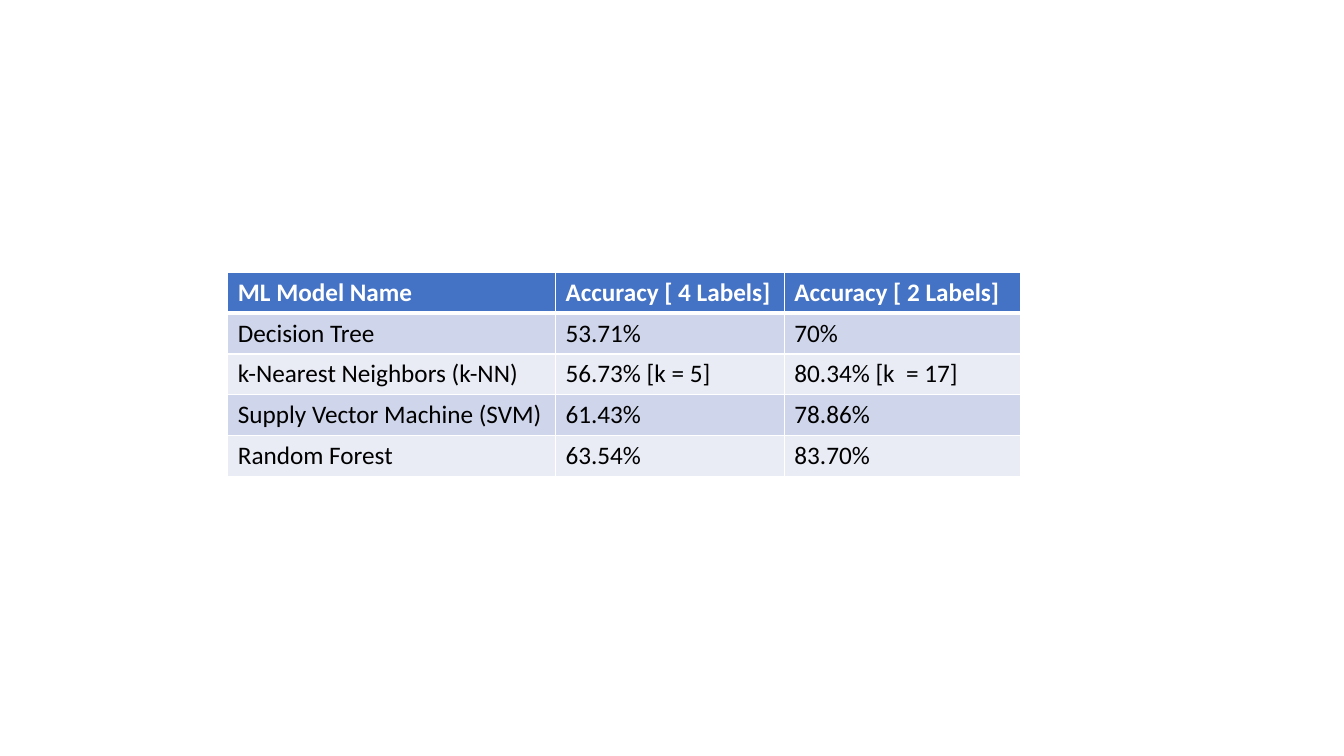
from lxml import etree
from pptx import Presentation
from pptx.dml.color import RGBColor
from pptx.oxml import ns
from pptx.util import Inches, Pt

RESULTS = [
    ("ML Model Name", "Accuracy [ 4 Labels]", "Accuracy [ 2 Labels]"),
    ("Decision Tree", "53.71%", "70%"),
    ("k-Nearest Neighbors (k-NN)", "56.73% [k = 5]", "80.34% [k  = 17]"),
    ("Supply Vector Machine (SVM)", "61.43%", "78.86%"),
    ("Random Forest", "63.54%", "83.70%"),
]
COLUMN_WIDTHS = (3.25, 2.27, 2.34)
ROW_HEIGHT = 0.4
LEFT, TOP = 2.26, 2.7

BLUE = RGBColor(0x44, 0x72, 0xC4)
BANDS = (RGBColor(0xE9, 0xEB, 0xF5), RGBColor(0xCF, 0xD5, 0xEA))
WHITE = RGBColor(0xFF, 0xFF, 0xFF)
BLACK = RGBColor(0, 0, 0)


def add_borders(cell, widths):
    """Draw white borders; widths maps L, R, T and B to points."""
    properties = cell._tc.get_or_add_tcPr()
    for side in "LRTB":
        line = etree.SubElement(properties, ns.qn(f"a:ln{side}"), w=str(Pt(widths[side])))
        fill = etree.SubElement(line, ns.qn("a:solidFill"))
        etree.SubElement(fill, ns.qn("a:srgbClr"), val=str(WHITE))


def format_cell(cell, text, row):
    header = row == 0
    add_borders(cell, {"L": 1, "R": 1, "T": 3 if row == 1 else 1, "B": 3 if header else 1})
    cell.fill.solid()
    cell.fill.fore_color.rgb = BLUE if header else BANDS[row % 2]
    cell.text = text
    font = cell.text_frame.paragraphs[0].runs[0].font
    font.name = "Calibri"
    font.size = Pt(18)
    font.bold = header
    font.color.rgb = WHITE if header else BLACK


def main():
    deck = Presentation()
    deck.slide_width, deck.slide_height = Inches(13.33), Inches(7.5)
    slide = deck.slides.add_slide(deck.slide_layouts[6])
    table = slide.shapes.add_table(
        len(RESULTS), len(COLUMN_WIDTHS), Inches(LEFT), Inches(TOP),
        Inches(sum(COLUMN_WIDTHS)), Inches(ROW_HEIGHT * len(RESULTS)),
    ).table
    for column, width in zip(table.columns, COLUMN_WIDTHS):
        column.width = Inches(width)
    for row, texts in enumerate(RESULTS):
        table.rows[row].height = Inches(ROW_HEIGHT)
        for column, text in enumerate(texts):
            format_cell(table.cell(row, column), text, row)
    deck.save("out.pptx")


if __name__ == "__main__":
    main()
